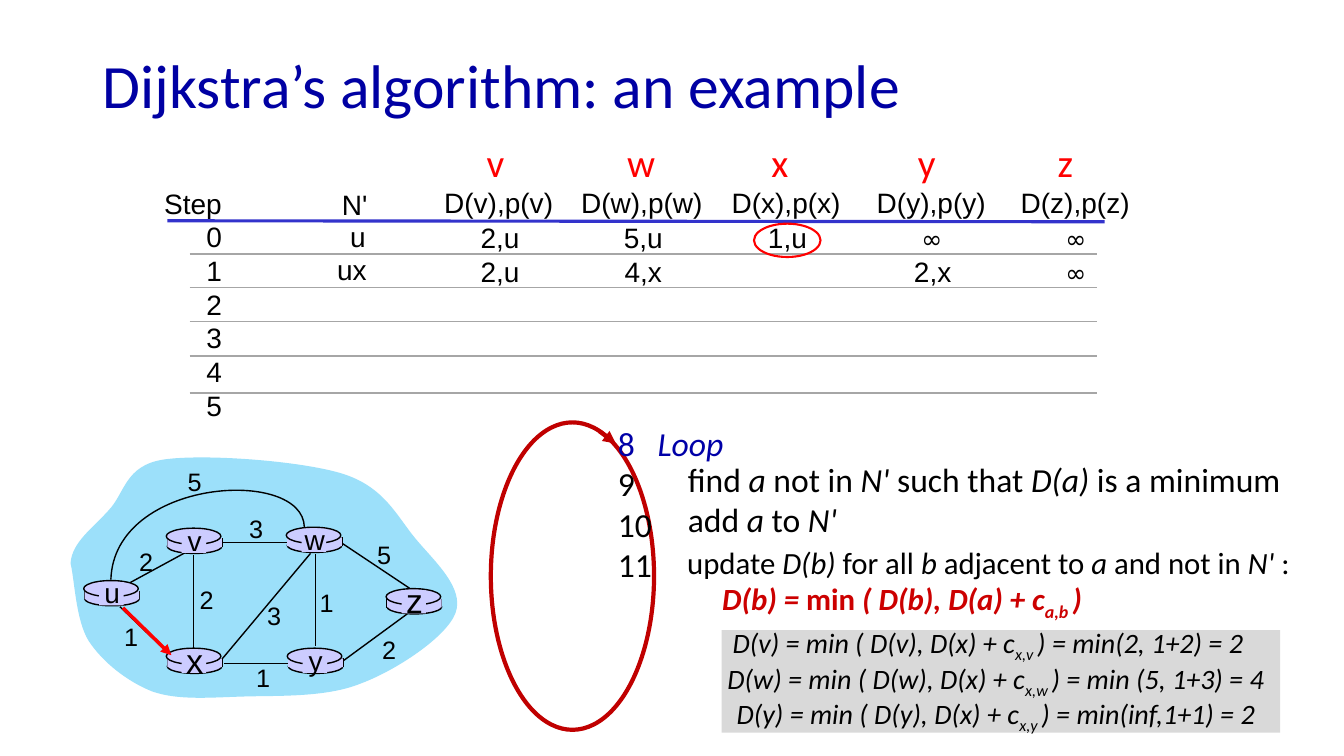
from dataclasses import dataclass

import pptx
import pptx.dml.color
import pptx.enum.shapes
import pptx.enum.text
import pptx.oxml.ns
import pptx.util

Pt = pptx.util.Pt
qn = pptx.oxml.ns.qn
SHAPE = pptx.enum.shapes.MSO_SHAPE
ALIGN = pptx.enum.text.PP_ALIGN


@dataclass(frozen=True)
class Theme:
    title: str = "0000A3"
    loop: str = "0000A8"
    text: str = "000000"
    red: str = "FF0000"
    dark_red: str = "C00000"
    formula: str = "CC0000"
    header_rule: str = "3333CC"
    row_rule: str = "A6A6A6"
    cloud: str = "9CE0FA"
    router: str = "CCCCFF"
    panel: str = "D9D9D9"
    body: str = "Calibri"
    table: str = "Arial"
    symbol: str = "Comic Neue"
    sz_title: int = 44
    sz_node: int = 28
    sz_loop: int = 24
    sz_update: int = 22
    sz_table: int = 20
    sz_cost: int = 18


T = Theme()

# Destination, centre of its header and cells, centre of its red letter
COLUMNS = [("v", 356.2, 354), ("w", 458.5, 458), ("x", 561.5, 557),
           ("y", 665.2, 662), ("z", 768, 761)]
ROWS = [(169.5, ["2,u", "5,u", "1,u", "∞", "∞"]),
        (193.9, ["2,u", "4,x", "", "2,x", "∞"])]
ROW_RULES = [181.4, 205.2, 229.7, 254.2, 280.8]

# Left, top and letter size of each router
ROUTERS = {"u": (59.8, 414.7, 20), "v": (118.8, 377.3, 20), "w": (204.5, 376.6, 20),
           "x": (118.8, 463, 24), "y": (205.2, 463, 20), "z": (275.8, 420.5, 24)}
# Link ends, cost, centre of the cost
LINKS = [((92.9, 416.2), (135.4, 393.1), "2", (104.4, 401)),
         ((138.2, 396.7), (138.2, 464.4), "2", (147.6, 428.4)),
         ((120.2, 466.6), (85.7, 433.4), "1", (93.6, 455)),
         ((159.1, 470.2), (221.8, 395.3), "3", (195.8, 440)),
         ((205.9, 473.8), (159.8, 473.8), "1", (187.9, 483.8)),
         ((225.4, 396), (225.4, 461.5), "1", (233.3, 430.6)),
         ((244.8, 472.3), (290.9, 438.5), "2", (277.9, 463.7)),
         ((293, 420.5), (243.4, 387.4), "5", (274.3, 396)),
         ((205.2, 387.4), (159.1, 387.4), "3", (182.9, 377.3))]
ARC = [(217.4, 376.6), (216.7, 333.4), (81.4, 341.3), (79.2, 414)]
CLOUD = [(50.4, 402.5), (51.1, 387.4), (67, 376.6), (77.8, 364.3),
         (89.3, 352.1), (89.3, 332.6), (116.6, 328.3),
         (144.7, 324), (214.6, 329), (244.8, 338.4),
         (274.3, 347.8), (283, 367.9), (296.6, 384.5),
         (310.3, 401), (331.9, 419.8), (325.4, 437.8),
         (319, 455), (283, 478.8), (257.8, 488.2),
         (233.3, 498.2), (199.4, 496.8), (175, 497.5),
         (149.8, 498.2), (127.4, 500.4), (108.7, 493.9),
         (90.7, 486.7), (73.4, 473), (63.4, 457.9),
         (54, 442.8), (53.3, 414), (50.4, 402.5)]


def rgb(color):
    return pptx.dml.color.RGBColor.from_string(color)


def paint(sp, fill=None, line=None, width=1):
    sp.shadow.inherit = False
    if fill:
        sp.fill.solid()
        sp.fill.fore_color.rgb = rgb(fill)
    else:
        sp.fill.background()
    if line:
        sp.line.color.rgb = rgb(line)
        sp.line.width = Pt(width)
    else:
        sp.line.fill.background()


def add_preset(s, kind, box, **look):
    paint(s.shapes.add_shape(kind, *map(Pt, box)), **look)


def add_line(s, start, end, color=T.text, width=1, arrow=False):
    sp = s.shapes.add_connector(pptx.enum.shapes.MSO_CONNECTOR.STRAIGHT,
                                *map(Pt, (*start, *end)))
    sp.line.color.rgb = rgb(color)
    sp.line.width = Pt(width)
    pr = sp._element.spPr
    if arrow:
        pr.find(qn("a:ln")).append(pr.makeelement(qn("a:tailEnd"), {"type": "triangle"}))
    pr.append(pr.makeelement(qn("a:effectLst"), {}))


def add_curve(s, points, closed=False, **look):
    """Draw chained cubic Bézier segments: a start, then three points for each."""
    builder = s.shapes.build_freeform(*map(Pt, points[0]))
    builder.add_line_segments([tuple(map(Pt, point)) for point in points[1:]], close=closed)
    sp = builder.convert_to_shape()
    # Turn every three straight steps into one curve
    steps = list(sp._element.iter(qn("a:lnTo")))
    for i in range(0, len(steps), 3):
        curve = steps[i].makeelement(qn("a:cubicBezTo"), {})
        steps[i].addprevious(curve)
        for step in steps[i:i + 3]:
            curve.append(step[0])
            step.getparent().remove(step)
    paint(sp, **look)


def add_runs(p, text, size, font=T.body, color=T.text, bold=False):
    """Asterisks enclose italics, underscores enclose subscripts."""
    for i, part in enumerate(text.split("*")):
        for j, piece in enumerate(part.split("_")):
            if not piece:
                continue
            r = p.add_run()
            r.text = piece
            r.font.size, r.font.name = Pt(size), font
            r.font.color.rgb = rgb(color)
            r.font.bold, r.font.italic = bold, i % 2 == 1
            if j % 2:
                r.font._element.set("baseline", "-25000")


def add_text(s, box, lines, align=ALIGN.LEFT, **style):
    """Each line is a string, or a string with formats of its own."""
    tf = s.shapes.add_textbox(*map(Pt, box)).text_frame
    tf.word_wrap = False
    tf.auto_size = pptx.enum.text.MSO_AUTO_SIZE.SHAPE_TO_FIT_TEXT
    for i, line in enumerate(lines):
        text, own = (line, {}) if isinstance(line, str) else line
        own = dict(own)
        p = tf.add_paragraph() if i else tf.paragraphs[0]
        p.alignment = align
        pr = p._p.get_or_add_pPr()
        if "indent" in own:
            pr.set("marL", str(Pt(own.pop("indent"))))
        if "tab" in own:
            tabs = pr.makeelement(qn("a:tabLst"), {})
            tabs.append(pr.makeelement(qn("a:tab"), {"pos": str(Pt(own.pop("tab"))), "algn": "l"}))
            pr.append(tabs)
        add_runs(p, text, **{**style, **own})


def text_width(text, size):
    """Estimate the width of a text with its insets."""
    ems = sum(0.34 if c in "(),'" else 0.74 if c in "wDN∞" else 0.57 for c in text)
    return ems * size + 15


def add_label(s, text, cx, cy, size=T.sz_table, font=T.table, **style):
    w, h = text_width(text, size), 1.2 * size + 7.2
    add_text(s, (cx - w / 2, cy - h / 2, w, h), [text], ALIGN.CENTER,
             size=size, font=font, **style)


def add_router(s, name, x, y, size):
    add_preset(s, SHAPE.OVAL, (x + 0.7, y + 8, 39, 10), fill=T.router, line=T.text)
    for side in (x + 0.7, x + 39.7):
        add_line(s, (side, y + 7.2), (side, y + 13.5))
    add_preset(s, SHAPE.RECTANGLE, (x + 0.7, y + 7.2, 39, 6.3), fill=T.router)
    add_preset(s, SHAPE.OVAL, (x, y, 39, 11.5), fill=T.router, line=T.text)
    add_preset(s, SHAPE.RECTANGLE, (x + 11, y + 1.2, 17.5, 16.5), fill=T.router)
    add_label(s, name, x + 20.3, y + 8.5, size=size)


def add_title(s, text):
    sp = s.shapes.title
    sp.left, sp.top, sp.width, sp.height = map(Pt, (66.2, 28.1, 880.6, 70.6))
    tf = sp.text_frame
    tf.auto_size = pptx.enum.text.MSO_AUTO_SIZE.NONE
    tf.vertical_anchor = pptx.enum.text.MSO_ANCHOR.MIDDLE
    p = tf.paragraphs[0]
    p.alignment, p.line_spacing = ALIGN.LEFT, 0.9
    add_runs(p, text, T.sz_title, color=T.title)


def add_steps(s):
    add_text(s, (110.2, 129.6, 55.4, 175), ["Step", *"012345"], ALIGN.RIGHT,
             size=T.sz_table, font=T.table)
    for text, cx, cy in (("N'", 253.4, 146.2), ("u", 255.6, 168.5), ("ux", 251.3, 192.6)):
        add_label(s, text, cx, cy)
    add_line(s, (119.5, 157.7), (789.1, 158.4), T.header_rule, 2.25)
    for y in ROW_RULES:
        add_line(s, (135.4, y), (783.4, y), T.row_rule)
    for i, (name, cx, letter_cx) in enumerate(COLUMNS):
        add_label(s, name, letter_cx, 115.6, size=T.sz_node, font=T.body, color=T.red)
        add_label(s, f"D({name}),p({name})", cx, 144.4)
        for cy, cells in ROWS:
            if cells[i] == "∞":
                add_label(s, "∞", cx, cy + 1, size=T.sz_cost, font=T.symbol)
            elif cells[i]:
                add_label(s, cells[i], cx + 1, cy)
    add_preset(s, SHAPE.OVAL, (538.6, 159.8, 47.5, 23.8), line=T.red, width=1.5)


def add_network(s):
    add_curve(s, CLOUD, closed=True, fill=T.cloud)
    add_curve(s, ARC, line=T.text)
    add_label(s, "5", 139, 344.2, size=T.sz_cost)
    for start, end, cost, centre in LINKS:
        add_line(s, start, end)
        add_label(s, cost, *centre, size=T.sz_cost)
    for name, place in ROUTERS.items():
        add_router(s, name, *place)
    add_line(s, (87.8, 434.2), (122.4, 468), T.red, 2.5, arrow=True)


def add_loop(s):
    add_preset(s, SHAPE.OVAL, (350.6, 301.7, 116.6, 219.6), line=T.dark_red, width=3)
    add_line(s, (428.4, 308.2), (439.9, 316.8), T.dark_red, 3, arrow=True)
    add_text(s, (434.2, 298.6, 96.5, 123.5),
             [("8\t*Loop*", {"color": T.loop, "tab": 28.5}), "9", "10", "11"], size=T.sz_loop)
    add_text(s, (478.8, 324, 461.5, 65.5),
             [" find *a* not in *N' *such that *D(a) *is a minimum", " add *a* to *N'*"],
             size=T.sz_loop)
    add_text(s, (483.8, 384.5, 454.3, 60.5),
             ["update *D(b) *for all *b* adjacent to *a* and not in *N' *:",
              ("*D(b) = *min* ( D(b), D(a) + c_a,b _)*",
               {"color": T.formula, "bold": True, "indent": 25})], size=T.sz_update)
    # Worked updates
    add_preset(s, SHAPE.RECTANGLE, (515.5, 450, 398.9, 73.4), fill=T.panel)
    results = [("v", "min(2, 1+2) = 2", 516.2, 389.5), ("w", "min (5, 1+3) = 4", 512.6, 408.2),
               ("y", "min(inf,1+1) = 2", 519.1, 399.6)]
    for i, (b, result, x, w) in enumerate(results):
        add_text(s, (x, 443.5 + 25.2 * i, w, 31.7),
                 [f"*D({b}) = min ( D({b}), D(x) + c_x,{b} _) = {result}*"], size=T.sz_table)


def main():
    prs = pptx.Presentation()
    prs.slide_width, prs.slide_height = Pt(960), Pt(540)
    s = prs.slides.add_slide(prs.slide_layouts[5])
    add_title(s, "Dijkstra’s algorithm: an example")
    add_loop(s)
    add_steps(s)
    add_network(s)
    prs.save("out.pptx")


if __name__ == "__main__":
    main()
